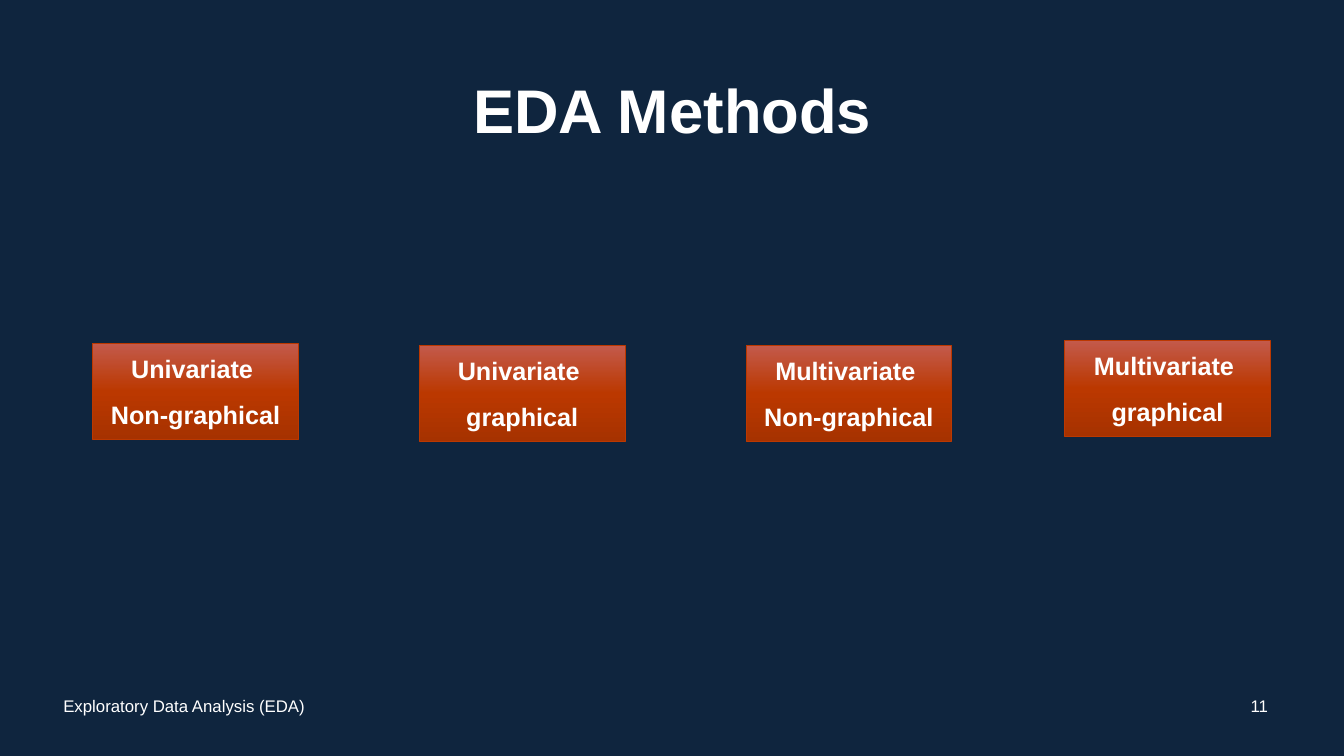
from copy import deepcopy
from dataclasses import dataclass

from pptx import Presentation
from pptx.dml.color import RGBColor
from pptx.enum.shapes import MSO_SHAPE
from pptx.enum.text import MSO_ANCHOR, PP_ALIGN
from pptx.oxml.ns import qn
from pptx.shapes.autoshape import Shape
from pptx.slide import Slide
from pptx.util import Inches, Pt

RECTANGLE = MSO_SHAPE.RECTANGLE
MIDDLE = MSO_ANCHOR.MIDDLE
LEFT, CENTER = PP_ALIGN.LEFT, PP_ALIGN.CENTER

SLIDE_WIDTH, SLIDE_HEIGHT = 13.33, 7.5
NAVY, WHITE, RUST = "0F253E", "FFFFFF", "BB3800"
GRADIENT = ((0, "C35A4B"), (0.5, RUST), (1, "A63200"))

GRID_LEFT, COLUMN_STEP = 0.92, 3.24
GRID_TOP = 3.43
BOX_WIDTH, BOX_HEIGHT = 2.04, 0.95
FOOTER_TOP, FOOTER_HEIGHT = 6.8, 0.4


@dataclass(frozen=True)
class TextStyle:
    size: float
    bold: bool = False
    alignment: PP_ALIGN = CENTER
    line_spacing: float = 1.0
    space_before: float = 0


@dataclass(frozen=True)
class Label:
    text: str
    left: float
    top: float
    width: float
    height: float
    style: TextStyle


@dataclass(frozen=True)
class Method:
    """One EDA method; shifts are inches away from its grid column and row."""
    lines: tuple[str, str]
    shift_x: float = 0
    shift_y: float = 0


METHOD_STYLE = TextStyle(18, bold=True, space_before=11)
LABELS = (
    Label("EDA Methods", GRID_LEFT, 0.4, 11.5, 1.45,
          TextStyle(44, bold=True, line_spacing=0.9)),
    Label("11", 12.24, FOOTER_TOP, 0.5, FOOTER_HEIGHT, TextStyle(12)),
    Label("Exploratory Data Analysis (EDA)", 0.53, FOOTER_TOP, 4.5, FOOTER_HEIGHT,
          TextStyle(12, alignment=LEFT)),
)
METHODS = (
    Method(("Univariate ", "Non-graphical"), shift_y=-0.02),
    Method(("Univariate ", "graphical")),
    Method(("Multivariate ", "Non-graphical")),
    Method(("Multivariate ", "graphical"), shift_x=-0.08, shift_y=-0.05),
)


def color(value: str) -> RGBColor:
    return RGBColor.from_string(value)


def write_text(shape: Shape, lines: tuple[str, ...], style: TextStyle) -> None:
    frame = shape.text_frame
    frame.text = "\n".join(lines)
    frame.word_wrap = True
    frame.vertical_anchor = MIDDLE
    for paragraph in frame.paragraphs:
        paragraph.alignment = style.alignment
        paragraph.line_spacing = style.line_spacing
        paragraph.space_before = Pt(style.space_before)
        paragraph.font.name = "Arial"
        paragraph.font.size = Pt(style.size)
        paragraph.font.bold = style.bold
        paragraph.font.color.rgb = color(WHITE)


def fill_gradient(shape: Shape) -> None:
    """Fill from top to bottom with the stops of GRADIENT."""
    shape.fill.gradient()
    shape.fill.gradient_angle = 270
    stop_list = shape.element.find(".//" + qn("a:gsLst"))
    while len(stop_list) < len(GRADIENT):
        stop_list.append(deepcopy(stop_list[-1]))
    for stop, (position, value) in zip(shape.fill.gradient_stops, GRADIENT):
        stop.position = position
        stop.color.rgb = color(value)


def add_label(slide: Slide, label: Label) -> None:
    box = slide.shapes.add_textbox(Inches(label.left), Inches(label.top),
                                   Inches(label.width), Inches(label.height))
    write_text(box, (label.text,), label.style)


def add_method(slide: Slide, method: Method, column: int) -> None:
    left = GRID_LEFT + column * COLUMN_STEP + method.shift_x
    box = slide.shapes.add_shape(RECTANGLE, Inches(left), Inches(GRID_TOP + method.shift_y),
                                 Inches(BOX_WIDTH), Inches(BOX_HEIGHT))
    box.shadow.inherit = False
    fill_gradient(box)
    box.line.color.rgb = color(RUST)
    box.line.width = Pt(0.5)
    write_text(box, method.lines, METHOD_STYLE)


def main() -> None:
    presentation = Presentation()
    presentation.slide_width = Inches(SLIDE_WIDTH)
    presentation.slide_height = Inches(SLIDE_HEIGHT)
    slide = presentation.slides.add_slide(presentation.slide_layouts[6])
    slide.background.fill.solid()
    slide.background.fill.fore_color.rgb = color(NAVY)
    for label in LABELS:
        add_label(slide, label)
    for column, method in enumerate(METHODS):
        add_method(slide, method, column)
    presentation.save("out.pptx")


if __name__ == "__main__":
    main()
